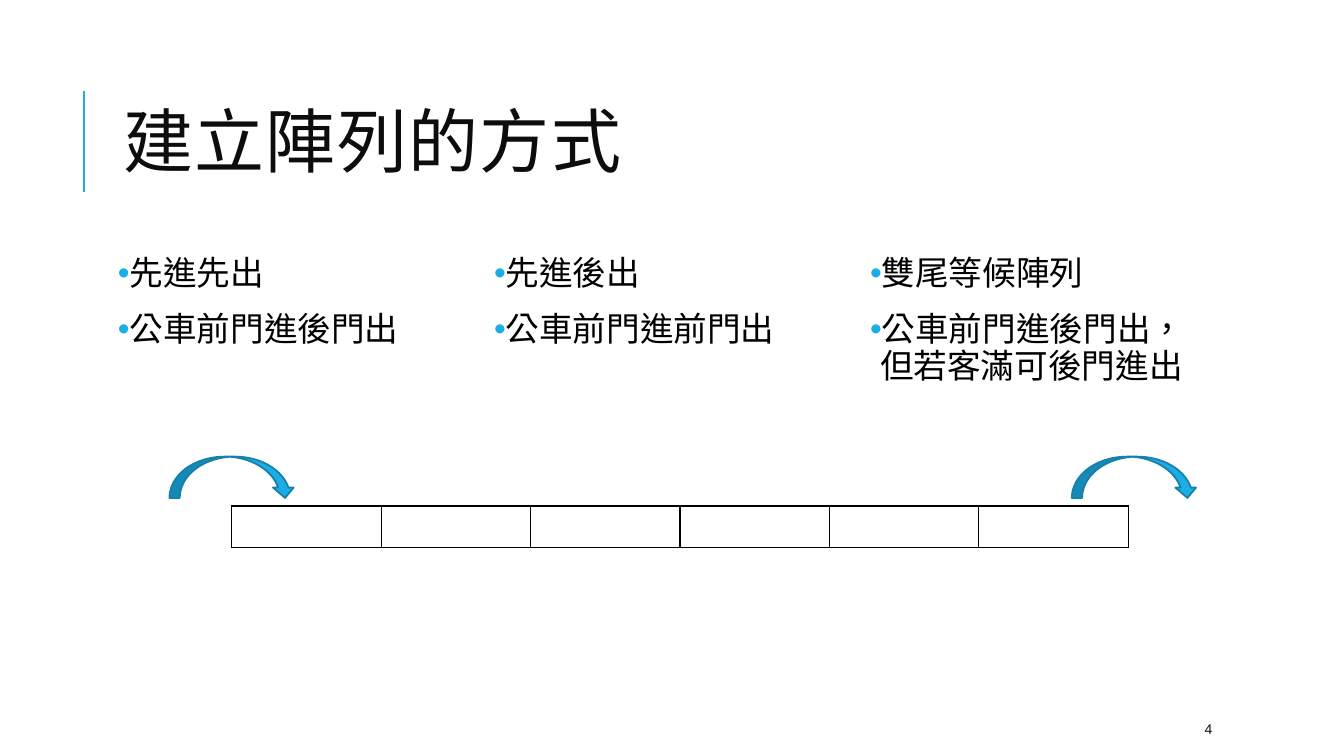
from lxml import etree
from pptx import Presentation
from pptx.dml.color import RGBColor
from pptx.enum.shapes import MSO_CONNECTOR, MSO_SHAPE
from pptx.enum.text import MSO_ANCHOR, MSO_AUTO_SIZE, PP_ALIGN
from pptx.oxml.ns import qn
from pptx.util import Inches, Pt

ACCENT, ACCENT_DARK, INK, BLACK = "1CADE4", "1580A9", "0D0D0D", "000000"


def rgb(hex_code):
    """Turn a hex string into a colour."""
    return RGBColor.from_string(hex_code)


def box(*lengths):
    """Turn numbers into inch lengths."""
    return [Inches(length) for length in lengths]


def apply(target, values):
    """Set each attribute named in a dict."""
    for name, value in values.items():
        setattr(target, name, value)


def add_xml(parent, tag, **attributes):
    """Append a child element with the given attributes."""
    child = etree.SubElement(parent, qn(tag))
    for name, value in attributes.items():
        child.set(name, str(value))
    return child


class SlideBuilder:
    """Holds the text styles and the current slide."""

    title_font = {"name": "Cabin", "size": Pt(50), "bold": False}
    bullet_font = {"name": "Calibri", "size": Pt(24)}
    number_font = {"name": "Arial", "size": Pt(10)}
    title_paragraph = {"alignment": PP_ALIGN.LEFT, "line_spacing": 0.8}
    bullet_paragraph = {"line_spacing": 0.9, "space_before": Pt(12),
                        "space_after": Pt(2)}
    plain_frame = {"word_wrap": True, "auto_size": MSO_AUTO_SIZE.NONE}
    middle_frame = {**plain_frame, "vertical_anchor": MSO_ANCHOR.MIDDLE}
    bullet_frame = {**plain_frame, **dict.fromkeys(
        ("margin_left", "margin_right", "margin_top", "margin_bottom"),
        Inches(0.05))}

    def __init__(self, deck):
        self.slide = deck.slides.add_slide(deck.slide_layouts[5])
        self.shapes = self.slide.shapes

    def add_text(self, paragraph, text, font, color):
        """Add one formatted run and return its properties."""
        run = paragraph.add_run()
        run.text = text
        apply(run.font, font)
        run.font.color.rgb = rgb(color)
        properties = run._r.get_or_add_rPr()
        properties.set("lang", "zh-TW")
        return properties

    def title(self, text, left, top, width, height):
        """Place and format the title placeholder."""
        heading = self.shapes.title
        apply(heading, dict(zip(("left", "top", "width", "height"),
                                box(left, top, width, height))))
        apply(heading.text_frame, self.middle_frame)
        paragraph = heading.text_frame.paragraphs[0]
        apply(paragraph, self.title_paragraph)
        self.add_text(paragraph, text, self.title_font, INK).set("spc", "100")

    def rule(self, x, top, bottom):
        """Draw a vertical accent line."""
        line = self.shapes.add_connector(
            MSO_CONNECTOR.STRAIGHT, *box(x, bottom, x, top))
        line.line.color.rgb = rgb(ACCENT)
        line.line.width = Pt(1.5)
        add_xml(line._element.spPr, "a:effectLst")

    def bullets(self, items, *place):
        """Add a text box with one bullet per item."""
        frame = self.shapes.add_textbox(*box(*place)).text_frame
        apply(frame, self.bullet_frame)
        for index, item in enumerate(items):
            paragraph = frame.add_paragraph() if index else frame.paragraphs[0]
            apply(paragraph, self.bullet_paragraph)
            properties = paragraph._p.get_or_add_pPr()
            properties.set("marL", str(Inches(0.1)))
            properties.set("indent", str(Inches(-0.1)))
            add_xml(add_xml(properties, "a:buClr"), "a:srgbClr", val=ACCENT)
            add_xml(properties, "a:buFont", typeface="Arial")
            add_xml(properties, "a:buChar", char="•")
            self.add_text(paragraph, item, self.bullet_font, BLACK)

    def array_cells(self, count, *place):
        """Add a one-row table of empty bordered cells."""
        table = self.shapes.add_table(1, count, *box(*place)).table
        apply(table, {"first_row": False, "horz_banding": False})
        for cell in table.iter_cells():
            properties = cell._tc.get_or_add_tcPr()
            for side in ("a:lnL", "a:lnR", "a:lnT", "a:lnB"):
                border = add_xml(properties, side, w=Pt(1))
                add_xml(add_xml(border, "a:solidFill"), "a:srgbClr", val=BLACK)
            cell.fill.background()

    def curved_arrow(self, *place):
        """Add an arrow that curves over and down."""
        arrow = self.shapes.add_shape(MSO_SHAPE.CURVED_DOWN_ARROW, *box(*place))
        arrow.shadow.inherit = False
        arrow.fill.solid()
        arrow.fill.fore_color.rgb = rgb(ACCENT)
        arrow.line.color.rgb = rgb(ACCENT_DARK)
        arrow.line.width = Pt(1.25)

    def page_number(self, text, *place):
        """Add the page number."""
        frame = self.shapes.add_textbox(*box(*place)).text_frame
        apply(frame, self.middle_frame)
        self.add_text(frame.paragraphs[0], text, self.number_font, INK)


deck = Presentation()
apply(deck, {"slide_width": Inches(13.33), "slide_height": Inches(7.5)})
page = SlideBuilder(deck)

page.rule(0.83, 0.9, 1.9)
page.title("建立陣列的方式", 1.12, 0.64, 10.63, 1.64)

access_methods = [
    (3.17, ["先進先出", "公車前門進後門出"]),
    (3.17, ["先進後出", "公車前門進前門出"]),
    (3.24, ["雙尾等候陣列", "公車前門進後門出，但若客滿可後門進出"]),
]
for column, (width, items) in enumerate(access_methods):
    page.bullets(items, 1.12 + 3.73 * column, 2.5, width, 4.4)

page.array_cells(6, 2.3, 5.02, 8.89, 0.41)
for arrow_left in (1.68, 10.63):
    page.curved_arrow(arrow_left, 4.53, 1.25, 0.41)
page.page_number("4", 11.85, 7.08, 1.06, 0.3)

deck.save("out.pptx")
